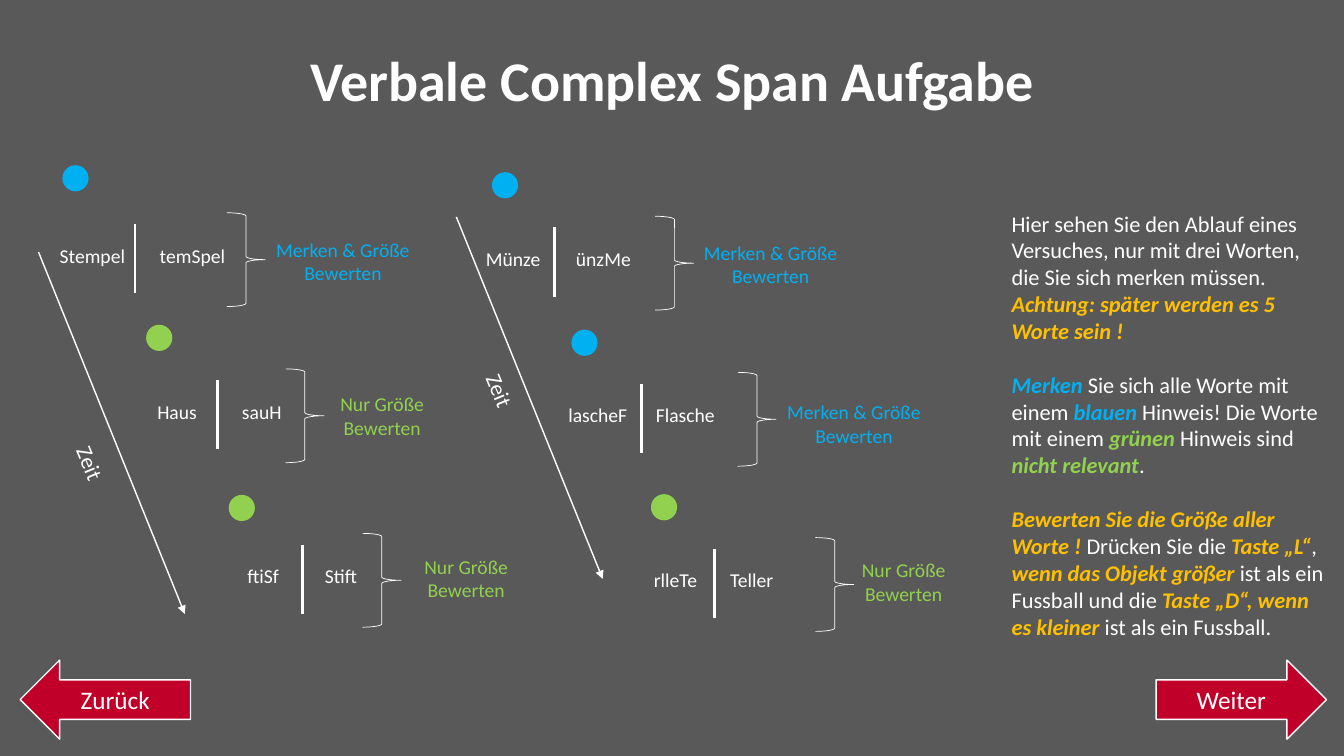
from dataclasses import dataclass

from lxml import etree
from pptx import Presentation
from pptx.dml.color import RGBColor
from pptx.enum.shapes import MSO_CONNECTOR, MSO_SHAPE
from pptx.enum.text import MSO_ANCHOR, MSO_AUTO_SIZE, PP_ALIGN
from pptx.oxml.ns import qn
from pptx.util import Pt

LINE = MSO_CONNECTOR.STRAIGHT
DOT, BRACE = MSO_SHAPE.OVAL, MSO_SHAPE.RIGHT_BRACE
BACK, NEXT = MSO_SHAPE.LEFT_ARROW, MSO_SHAPE.RIGHT_ARROW
LEFT, CENTER = PP_ALIGN.LEFT, PP_ALIGN.CENTER
TOP, MIDDLE = MSO_ANCHOR.TOP, MSO_ANCHOR.MIDDLE
GROW, FIXED = MSO_AUTO_SIZE.SHAPE_TO_FIT_TEXT, MSO_AUTO_SIZE.NONE


@dataclass(frozen=True)
class Theme:
    font: str = "Calibri"
    ground: str = "595959"
    white: str = "FFFFFF"
    blue: str = "01B0F1"
    green: str = "92D14F"
    gold: str = "FFC000"
    red: str = "C1002A"
    title: int = 40
    button: int = 18
    body: int = 16
    word: int = 14


class Deck:
    def __init__(self, theme):
        self.theme = theme
        self.show = Presentation()
        self.show.slide_width, self.show.slide_height = Pt(960), Pt(540)
        self.slide = self.show.slides.add_slide(self.show.slide_layouts[5])
        self.paint(self.slide.background.fill, theme.ground)

    def paint(self, fill, color):
        fill.solid()
        fill.fore_color.rgb = RGBColor.from_string(color)

    def style(self, run, size, color, bold=False, italic=False):
        font = run.font
        font.name, font.size = self.theme.font, Pt(size)
        font.bold, font.italic = bold, italic
        font.color.rgb = RGBColor.from_string(color)

    def fill_text(self, frame, text, size, color, bold=False, anchor=TOP):
        frame.text = text
        frame.vertical_anchor = anchor
        para = frame.paragraphs[0]
        para.alignment = CENTER
        self.style(para.runs[0], size, color, bold)

    def title(self, text, x, y, w, h):
        box = self.slide.shapes.title
        box.left, box.top, box.width, box.height = Pt(x), Pt(y), Pt(w), Pt(h)
        self.fill_text(box.text_frame, text, self.theme.title,
                       self.theme.white, True)
        box.text_frame.word_wrap = False
        box.text_frame.auto_size = FIXED

    def box(self, x, y, w, h):
        box = self.slide.shapes.add_textbox(Pt(x), Pt(y), Pt(w), Pt(h))
        box.text_frame.word_wrap = True
        box.text_frame.auto_size = GROW
        return box

    def label(self, text, mid, y, w, h, size, color, turn=0):
        box = self.box(mid - w / 2, y, w, h)
        box.rotation = turn
        self.fill_text(box.text_frame, text, size, color)

    def prose(self, parts, x, y, w, h, gap):
        frame = self.box(x, y, w, h).text_frame
        for i, part in enumerate(parts):
            para = frame.add_paragraph() if i else frame.paragraphs[0]
            para.alignment = LEFT
            para.space_before = Pt(gap if i else 0)
            for text, color in part:
                run = para.add_run()
                run.text = text
                strong = color != self.theme.white
                self.style(run, self.theme.body, color, strong, strong)

    def shape(self, kind, x, y, w, h, fill=None, line=0):
        shape = self.slide.shapes.add_shape(kind, Pt(x), Pt(y), Pt(w), Pt(h))
        shape.shadow.inherit = False
        if fill:
            self.paint(shape.fill, fill)
        else:
            shape.fill.background()
        if line:
            self.paint(shape.line.fill, self.theme.white)
            shape.line.width = Pt(line)
        else:
            shape.line.fill.background()
        return shape

    def button(self, kind, text, x, y, w, h):
        shape = self.shape(kind, x, y, w, h, self.theme.red, 1)
        self.fill_text(shape.text_frame, text, self.theme.button,
                       self.theme.white, anchor=MIDDLE)

    def line(self, x, y, w, h, width, head=False):
        line = self.slide.shapes.add_connector(
            LINE, Pt(x), Pt(y), Pt(x + w), Pt(y + h))
        self.paint(line.line.fill, self.theme.white)
        line.line.width = Pt(width)
        props = line._element.spPr
        if head:
            etree.SubElement(props.find(qn("a:ln")), qn("a:tailEnd"),
                             type="triangle")
        etree.SubElement(props, qn("a:effectLst"))


def main():
    theme = Theme()
    deck = Deck(theme)
    white, blue, green, gold = theme.white, theme.blue, theme.green, theme.gold
    deck.title("Verbale Complex Span Aufgabe", 201.5, 29, 557, 55)

    # Trials: cue colour, dot, bar, words with centres, brace x, hint centre
    trials = [
        (blue, (44.6, 118), (96.5, 160), ("Stempel", 66), ("temSpel", 137.5),
         162, (245, 166.3)),
        (green, (104.4, 232), (155.5, 271.5), ("Haus", 126.5), ("sauH", 187),
         204, (273, 276.5)),
        (green, (163.4, 353.5), (216, 389), ("ftiSf", 188), ("Stift", 243.5),
         259, (333, 392.5)),
        (blue, (351.4, 123), (396, 162.5), ("Münze", 366.5), ("ünzMe", 431),
         468, (550.5, 168.5)),
        (blue, (408.2, 235.5), (458, 274), ("lascheF", 427), ("Flasche", 489.5),
         527, (610, 282.2)),
        (green, (465, 353), (510.5, 392), ("rlleTe", 482.5), ("Teller", 537),
         582.5, (645.5, 395.3)),
    ]
    hints = {blue: "Merken & Größe Bewerten", green: "Nur Größe Bewerten"}
    for cue, dot, (bar, top), left, right, brace, (mid, y) in trials:
        deck.shape(DOT, *dot, 18.7, 18.7, cue)
        deck.line(bar, top, 0, 49.5, 2)
        for word, spot in (left, right):
            deck.label(word, spot, top + 10.4, 70, 24.5, theme.word, white)
        deck.shape(BRACE, brace, top - 8, 27.4, 67, line=0.5)
        deck.label(hints[cue], mid, y, 120, 41, theme.word, cue)

    # Time axes
    for x, y, mid, top in ((27.5, 180, 64.5, 317.5), (326, 155, 357, 265.7)):
        deck.line(x, y, 104.5, 258.5, 1, head=True)
        deck.label("Zeit", mid, top, 90, 26.6, theme.body, white, 67.5)

    # Instructions
    deck.prose([
        [("Hier sehen Sie den Ablauf eines Versuches, nur mit drei Worten, "
          "die Sie sich merken müssen. ", white),
         ("Achtung: später werden es 5 Worte sein !", gold)],
        [("Merken", blue), (" Sie sich alle Worte mit einem ", white),
         ("blauen ", blue), ("Hinweis! Die Worte mit einem ", white),
         ("grünen ", green), ("Hinweis sind ", white),
         ("nicht relevant", green), (".", white)],
        [("Bewerten Sie die Größe aller Worte ! ", gold),
         ("Drücken Sie die ", white), ("Taste „L“", gold), (", ", white),
         ("wenn das Objekt größer ", gold),
         ("ist als ein Fussball und die ", white),
         ("Taste „D“, wenn es kleiner ", gold),
         ("ist als ein Fussball.", white)],
    ], 715.5, 146.2, 238.5, 339, 19.2)

    # Navigation
    deck.button(BACK, "Zurück", 14.4, 471.5, 121.7, 56.5)
    deck.button(NEXT, "Weiter", 825.8, 471.5, 121.7, 56.5)

    deck.show.save("out.pptx")


if __name__ == "__main__":
    main()
